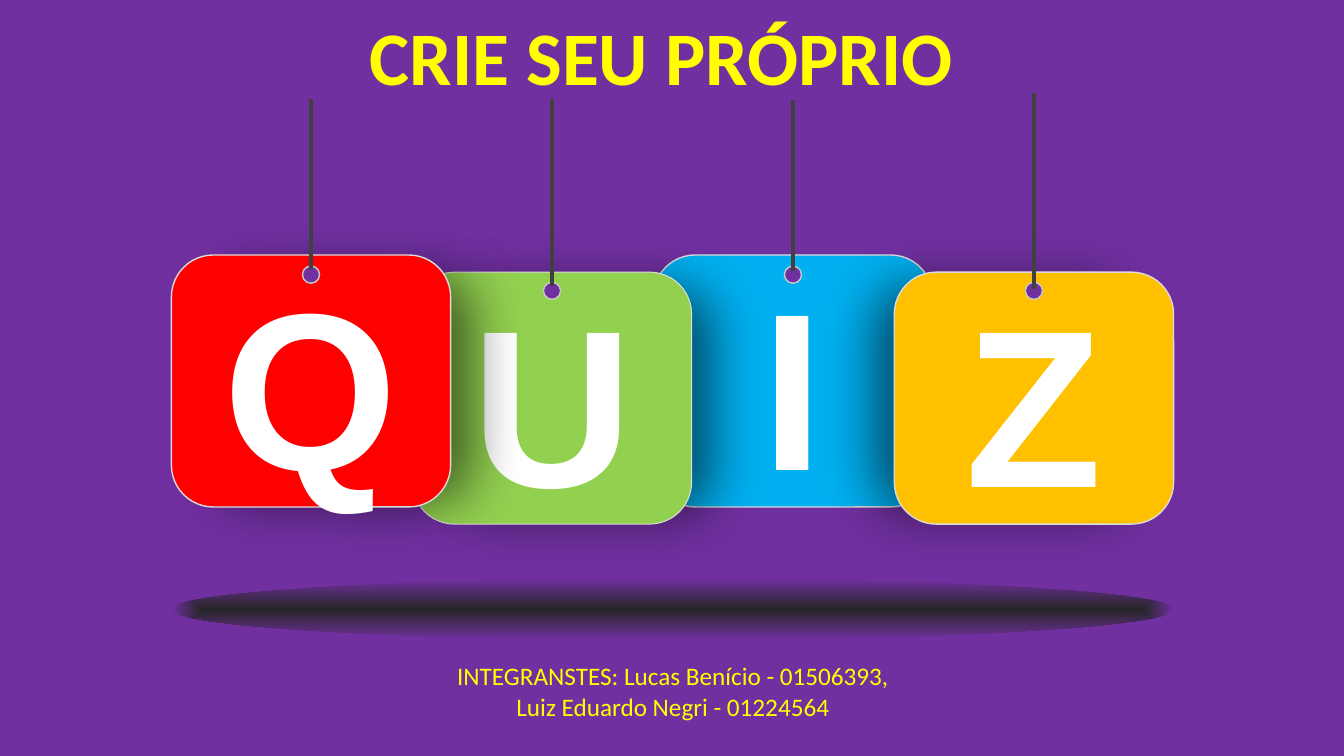
from lxml import etree
from pptx import Presentation
from pptx.dml.color import RGBColor
from pptx.enum.shapes import MSO_CONNECTOR, MSO_SHAPE
from pptx.enum.text import MSO_ANCHOR, PP_ALIGN
from pptx.oxml.ns import qn
from pptx.util import Inches, Pt

ROUNDED, OVAL = MSO_SHAPE.ROUNDED_RECTANGLE, MSO_SHAPE.OVAL
STRAIGHT = MSO_CONNECTOR.STRAIGHT
CENTER, MIDDLE, BOTTOM = PP_ALIGN.CENTER, MSO_ANCHOR.MIDDLE, MSO_ANCHOR.BOTTOM

PURPLE, YELLOW, WHITE, DARK = "7030A0", "FFFF00", "FFFFFF", "262626"
CARD_LEFT, CARD_STEP = 1.7, 2.39
CARD_WIDTH, CARD_HEIGHT = 2.77, 2.5
HOLE_SIZE = 0.17

# Back to front: column, letter, colour, top, outline width, shadow angle
CARDS = [
    (2, "I", "00B0F0", 2.53, 1, None),
    (1, "U", "92D050", 2.7, 0.75, 5),
    (0, "Q", "FF0000", 2.53, 1, 10),
    (3, "Z", "FFC000", 2.7, 1, 180),
]
# Left to right: top of hole, top and bottom of string
HANGERS = [(2.64, 0.98, 2.67), (2.8, 0.98, 2.84), (2.64, 0.99, 2.69), (2.8, 0.92, 2.87)]


def color(value):
    return RGBColor.from_string(value)


def write(shape, text, size, font, text_color, bold=False, anchor=MIDDLE):
    frame = shape.text_frame
    frame.word_wrap = True
    frame.vertical_anchor = anchor
    paragraph = frame.paragraphs[0]
    paragraph.text = text
    paragraph.alignment = CENTER
    paragraph.font.size = Pt(size)
    paragraph.font.name = font
    paragraph.font.bold = bold
    paragraph.font.color.rgb = color(text_color)
    return paragraph


def add_text(slide, left, top, width, height, *text_style, **options):
    box = slide.shapes.add_textbox(Inches(left), Inches(top), Inches(width), Inches(height))
    return write(box, *text_style, **options)


def add_shape(slide, kind, left, top, width, height, fill, line=None, line_width=1):
    shape = slide.shapes.add_shape(
        kind, Inches(left), Inches(top), Inches(width), Inches(height))
    shape.shadow.inherit = False
    shape.fill.solid()
    shape.fill.fore_color.rgb = color(fill)
    if line:
        shape.line.color.rgb = color(line)
        shape.line.width = Pt(line_width)
    else:
        shape.line.fill.background()
    return shape


def add_shadow(shape, angle):
    effects = shape.element.spPr.find(qn("a:effectLst"))
    shadow = etree.SubElement(
        effects, qn("a:outerShdw"), blurRad=str(Pt(40)), dist=str(Pt(24)),
        dir=str(angle * 60000), sx="90000", sy="90000", algn="ctr", rotWithShape="0")
    black = etree.SubElement(shadow, qn("a:srgbClr"), val="000000")
    etree.SubElement(black, qn("a:alpha"), val="57000")


def add_card(slide, column, letter, fill, top, line_width, shadow_angle):
    card = add_shape(slide, ROUNDED, CARD_LEFT + column * CARD_STEP, top,
                     CARD_WIDTH, CARD_HEIGHT, fill, "DBDBDB", line_width)
    write(card, letter, 160, "Arial", WHITE, bold=True)
    if shadow_angle is not None:
        add_shadow(card, shadow_angle)


def add_string(slide, x, top, bottom):
    string = slide.shapes.add_connector(
        STRAIGHT, Inches(x), Inches(bottom), Inches(x), Inches(top))
    string.line.color.rgb = color("404040")
    string.line.width = Pt(2.25)
    etree.SubElement(string.element.spPr, qn("a:effectLst"))


def add_floor_shadow(slide):
    floor = add_shape(slide, OVAL, CARD_LEFT, 5.74, 9.94, 0.61, DARK)
    solid = floor.element.spPr.find(qn("a:solidFill"))
    gradient = etree.Element(qn("a:gradFill"), rotWithShape="1")
    stops = etree.SubElement(gradient, qn("a:gsLst"))
    for position, value in ((0, DARK), (100000, PURPLE)):
        stop = etree.SubElement(stops, qn("a:gs"), pos=str(position))
        etree.SubElement(stop, qn("a:srgbClr"), val=value)
    center = etree.SubElement(gradient, qn("a:path"), {"path": "shape"})
    etree.SubElement(center, qn("a:fillToRect"), l="50000", t="50000", r="50000", b="50000")
    floor.element.spPr.replace(solid, gradient)


def main():
    presentation = Presentation()
    presentation.slide_width, presentation.slide_height = Inches(13.33), Inches(7.5)
    slide = presentation.slides.add_slide(presentation.slide_layouts[6])
    slide.background.fill.solid()
    slide.background.fill.fore_color.rgb = color(PURPLE)

    # Title and team members
    title = add_text(slide, 0.81, 0.18, 11.5, 0.88, "CRIE SEU PRÓPRIO", 54,
                     "Calibri", YELLOW, bold=True, anchor=BOTTOM)
    title.line_spacing = 0.9
    add_text(slide, 4.26, 6.38, 4.83, 0.95,
             "INTEGRANSTES: Lucas Benício - 01506393, Luiz Eduardo Negri - 01224564",
             18, "Calibri", YELLOW)

    # Letter cards
    for card in CARDS:
        add_card(slide, *card)

    # Holes, then the strings through them
    centers = [CARD_LEFT + CARD_WIDTH / 2 + column * CARD_STEP
               for column in range(len(HANGERS))]
    for x, (hole_top, _, _) in zip(centers, HANGERS):
        add_shape(slide, OVAL, x - HOLE_SIZE / 2, hole_top, HOLE_SIZE, HOLE_SIZE,
                  PURPLE, "C9C9C9")
    for x, (_, top, bottom) in zip(centers, HANGERS):
        add_string(slide, x, top, bottom)

    add_floor_shadow(slide)
    presentation.save("out.pptx")


if __name__ == "__main__":
    main()
